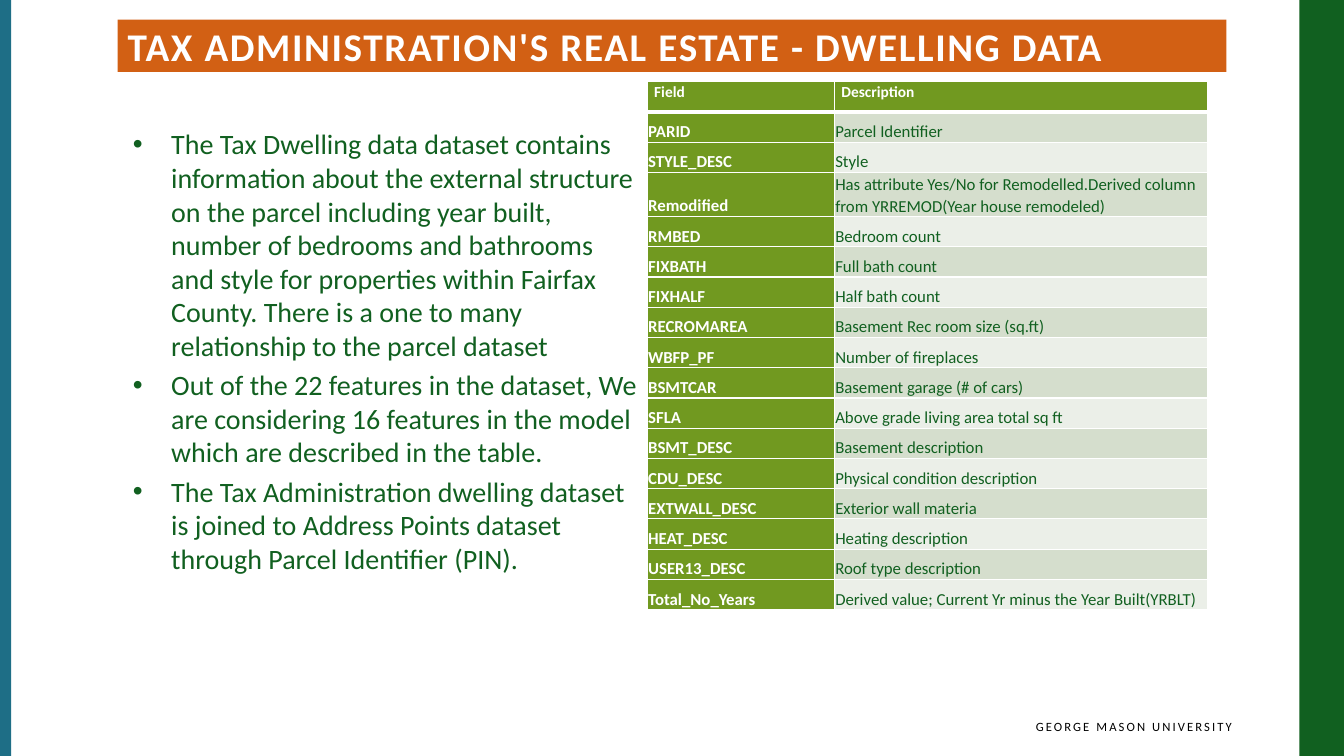
from lxml import etree
from pptx import Presentation
from pptx import util as u
from pptx.dml import color
from pptx.enum import shapes, text
from pptx.oxml import ns

COLORS = {
    "green": "116020", "teal": "1E6E86", "orange": "D26014", "field": "719920",
    "odd": "D5DECD", "even": "EBEFE8", "white": "FFFFFF", "black": "000000",
}

BULLETS = [
    "The Tax Dwelling data dataset contains information about the external structure on the parcel "
    "including year built, number of bedrooms and bathrooms and style for properties within Fairfax "
    "County. There is a one to many relationship to the parcel dataset",
    "Out of the 22 features in the dataset, We are considering 16 features in the model which are "
    "described in the table.",
    "The Tax Administration dwelling dataset is joined to Address Points dataset through Parcel "
    "Identifier (PIN).",
]

FIELDS = [
    ("Field", "Description"),
    ("PARID", "Parcel Identifier"),
    ("STYLE_DESC", "Style"),
    ("Remodified", "Has attribute Yes/No for Remodelled.Derived column from YRREMOD(Year house remodeled)"),
    ("RMBED", "Bedroom count"),
    ("FIXBATH", "Full bath count"),
    ("FIXHALF", "Half bath count"),
    ("RECROMAREA", "Basement Rec room size (sq.ft)"),
    ("WBFP_PF", "Number of fireplaces"),
    ("BSMTCAR", "Basement garage (# of cars)"),
    ("SFLA", "Above grade living area total sq ft"),
    ("BSMT_DESC", "Basement description"),
    ("CDU_DESC", "Physical condition description"),
    ("EXTWALL_DESC", "Exterior wall materia"),
    ("HEAT_DESC", "Heating description"),
    ("USER13_DESC", "Roof type description"),
    ("Total_No_Years", "Derived value; Current Yr minus the Year Built(YRBLT)"),
]


def rgb(name):
    return color.RGBColor.from_string(COLORS[name])


class SlideBuilder:
    """Places elements on a grid of 40 columns by 25 rows; one table row is one grid row."""

    font_name = "Calibri"
    columns, rows = 40, 25

    def __init__(self, presentation):
        self.column = presentation.slide_width / self.columns
        self.row = presentation.slide_height / self.rows
        self.slide = presentation.slides.add_slide(presentation.slide_layouts[6])

    def place(self, left, top, width, height):
        """Turns grid units into slide lengths."""
        return (round(left * self.column), round(top * self.row),
                round(width * self.column), round(height * self.row))

    def add_run(self, paragraph, words, size, color_name, bold=False, tracking=0):
        run = paragraph.add_run()
        run.text = words
        run.font.name = self.font_name
        run.font.size = u.Pt(size)
        run.font.bold = bold
        run.font.color.rgb = rgb(color_name)
        if tracking:
            run.font._element.set("spc", str(round(tracking * 100)))

    def block(self, area, color_name):
        shape = self.slide.shapes.add_shape(shapes.MSO_SHAPE.RECTANGLE, *self.place(*area))
        shape.shadow.inherit = False
        shape.fill.solid()
        shape.fill.fore_color.rgb = rgb(color_name)
        shape.line.fill.background()
        return shape

    def title(self, area, words):
        frame = self.block(area, "orange").text_frame
        frame.margin_top = frame.margin_bottom = 0
        frame.vertical_anchor = text.MSO_ANCHOR.MIDDLE
        frame.paragraphs[0].alignment = text.PP_ALIGN.LEFT
        self.add_run(frame.paragraphs[0], words, 28, "white", bold=True, tracking=1.2)

    def text_box(self, area):
        frame = self.slide.shapes.add_textbox(*self.place(*area)).text_frame
        frame.word_wrap = True
        return frame

    def footer(self, area, words):
        frame = self.text_box(area)
        frame.margin_right = 0
        frame.paragraphs[0].alignment = text.PP_ALIGN.RIGHT
        self.add_run(frame.paragraphs[0], words, 9, "black", tracking=1.5)

    def bullets(self, area, items):
        frame = self.text_box(area)
        indent = u.Inches(0.38)
        for index, words in enumerate(items):
            paragraph = frame.add_paragraph() if index else frame.paragraphs[0]
            properties = paragraph._p.get_or_add_pPr()
            properties.set("marL", str(indent))
            properties.set("indent", str(-indent))
            etree.SubElement(properties, ns.qn("a:buFont"), typeface="Arial")
            etree.SubElement(properties, ns.qn("a:buChar"), char="•")
            paragraph.space_before = u.Pt(4 if index else 0)
            self.add_run(paragraph, words, 20, "green")

    def cell_borders(self, cell, top, bottom):
        properties = cell._tc.get_or_add_tcPr()
        for side, width in (("L", 1), ("R", 1), ("T", top), ("B", bottom)):
            line = etree.SubElement(properties, ns.qn(f"a:ln{side}"), w=str(u.Pt(width)))
            fill = etree.SubElement(line, ns.qn("a:solidFill"))
            etree.SubElement(fill, ns.qn("a:srgbClr"), val=COLORS["white"])

    def fill_cell(self, cell, words, row_index, is_field):
        is_header = row_index == 0
        is_label = is_header or is_field
        self.cell_borders(cell, 3 if row_index == 1 else 1, 3 if is_header else 1)
        cell.fill.solid()
        cell.fill.fore_color.rgb = rgb("field" if is_label else "odd" if row_index % 2 else "even")
        cell.margin_left = cell.margin_right = u.Inches(0.07 if is_header else 0.01)
        cell.margin_top = u.Inches(0 if is_header else 0.01)
        cell.margin_bottom = 0
        cell.vertical_anchor = text.MSO_ANCHOR.TOP if is_header else text.MSO_ANCHOR.BOTTOM
        paragraph = cell.text_frame.paragraphs[0]
        if is_header or (row_index > 2 and not is_field):
            paragraph.line_spacing = 1.07
        self.add_run(paragraph, words, 11 if is_header else 12,
                     "white" if is_label else "green", bold=is_label)

    def table(self, left, top, widths, records):
        area = self.place(left, top, sum(widths), len(records))
        table = self.slide.shapes.add_table(len(records), len(widths), *area).table
        for column, width in zip(table.columns, widths):
            column.width = round(width * self.column)
        for row_index, record in enumerate(records):
            table.rows[row_index].height = round(self.row)
            for column_index, words in enumerate(record):
                self.fill_cell(table.cell(row_index, column_index), words, row_index, column_index == 0)


def main():
    presentation = Presentation()
    presentation.slide_width = u.Inches(13.33)
    presentation.slide_height = u.Inches(7.5)
    builder = SlideBuilder(presentation)
    builder.block((38.67, 0, 1.33, 25), "green")
    builder.block((0, 0, 0.33, 25), "teal")
    builder.footer((20.34, 23.6, 16.32, 1.1), "GEORGE MASON UNIVERSITY")
    builder.title((3.5, 0.65, 33, 1.73), "TAX ADMINISTRATION'S REAL ESTATE - DWELLING DATA")
    builder.bullets((3.66, 4.03, 15.6, 20.33), BULLETS)
    builder.table(19.26, 2.7, (5.57, 11.1), FIELDS)
    presentation.save("out.pptx")


if __name__ == "__main__":
    main()
